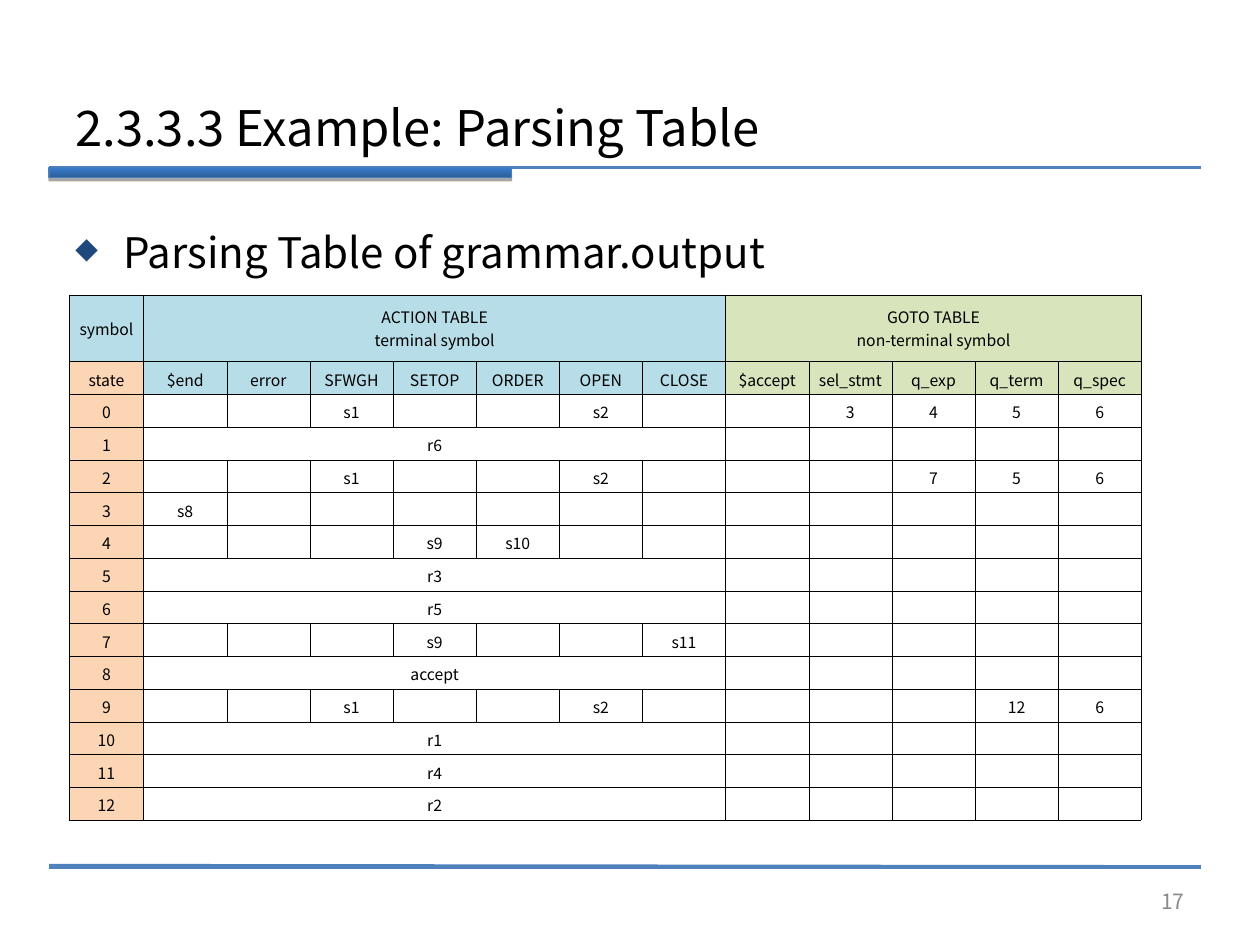
"""Build the slide showing the LR parsing table of grammar.output."""
import dataclasses
import typing

import lxml.etree
import pptx
import pptx.dml.color
import pptx.enum.shapes
import pptx.enum.text
import pptx.oxml.ns
import pptx.util

Inches = pptx.util.Inches
Pt = pptx.util.Pt
Align = pptx.enum.text.PP_ALIGN
Anchor = pptx.enum.text.MSO_ANCHOR

FONT = "Noto Sans CJK KR"
BLACK, GREY, RULE_BLUE = "000000", "898989", "4F81BD"
ACTION_FILL, GOTO_FILL, STATE_FILL = "B6DDE8", "D7E4BC", "FCD5B4"
TERMINALS = ["$end", "error", "SFWGH", "SETOP", "ORDER", "OPEN", "CLOSE"]
NON_TERMINALS = ["$accept", "sel_stmt", "q_exp", "q_term", "q_spec"]
SYMBOLS = TERMINALS + NON_TERMINALS
CELL_SIZE = 9


class Rule(typing.NamedTuple):
    left: float
    top: float
    right: float
    bottom: float


@dataclasses.dataclass
class Label:
    text: str
    box: tuple[float, float, float, float]
    size: float
    color: str = BLACK
    align: Align = Align.LEFT
    anchor: Anchor = Anchor.MIDDLE


@dataclasses.dataclass
class State:
    entries: dict[str, str] = dataclasses.field(default_factory=dict)
    default: str = ""


RULES = [
    Rule(0.39, 6.88, 9.53, 6.88),
    Rule(0.39, 1.33, 9.53, 1.33),
    Rule(0.39, 6.87, 9.53, 6.88),
]
TITLE = Label("2.3.3.3 Example: Parsing Table", (0.5, 0.7, 9, 0.62), 28)
BULLET = Label("Parsing Table of grammar.output", (0.5, 1.75, 9, 0.59), 24, anchor=Anchor.TOP)
PAGE_NUMBER = Label("17", (7.17, 6.95, 2.33, 0.4), 12, GREY, Align.RIGHT)
START = {"SFWGH": "s1", "OPEN": "s2"}
STATES = [
    State(START | {"sel_stmt": "3", "q_exp": "4", "q_term": "5", "q_spec": "6"}),
    State(default="r6"),
    State(START | {"q_exp": "7", "q_term": "5", "q_spec": "6"}),
    State({"$end": "s8"}),
    State({"SETOP": "s9", "ORDER": "s10"}),
    State(default="r3"),
    State(default="r5"),
    State({"SETOP": "s9", "CLOSE": "s11"}),
    State(default="accept"),
    State(START | {"q_term": "12", "q_spec": "6"}),
    State(default="r1"),
    State(default="r4"),
    State(default="r2"),
]


def rgb(color: str) -> pptx.dml.color.RGBColor:
    """Turn a hex string into a colour."""
    return pptx.dml.color.RGBColor.from_string(color)


def add_element(parent, tag: str, **attributes: str):
    """Append a DrawingML element to its parent."""
    return lxml.etree.SubElement(parent, pptx.oxml.ns.qn(f"a:{tag}"), attributes)


def format_runs(paragraph, size: float, color: str) -> None:
    """Give every run of a paragraph the slide font."""
    for run in paragraph.runs:
        run.font.name = FONT
        run.font.size = Pt(size)
        run.font.color.rgb = rgb(color)


def draw_rule(slide, rule: Rule) -> None:
    """Draw one thin blue rule across the slide."""
    connector = slide.shapes.add_connector(
        pptx.enum.shapes.MSO_CONNECTOR.STRAIGHT, *map(Inches, rule))
    connector.line.color.rgb = rgb(RULE_BLUE)
    connector.line.width = Pt(2)
    add_element(connector._element.spPr, "effectLst")


def draw_title_bar(slide) -> None:
    """Draw the shaded bar under the title."""
    bar = slide.shapes.add_shape(
        pptx.enum.shapes.MSO_SHAPE.RECTANGLE, *map(Inches, (0.39, 1.33, 3.67, 0.08)))
    bar.fill.gradient()
    bar.fill.gradient_angle = 90
    for stop, color in zip(bar.fill.gradient_stops, ("2C5D98", "3A7CCB")):
        stop.color.rgb = rgb(color)
    bar.line.color.rgb = rgb("4A7EBB")
    bar.line.width = Pt(0.75)
    bar.shadow.inherit = False
    effects = bar._element.spPr.find(pptx.oxml.ns.qn("a:effectLst"))
    shadow = add_element(effects, "outerShdw", blurRad="0", dist=str(Pt(1.8)),
                         dir="5400000", rotWithShape="0")
    add_element(add_element(shadow, "srgbClr", val=BLACK), "alpha", val="35000")


def draw_label(slide, label: Label):
    """Draw a text box and return its paragraph."""
    text_frame = slide.shapes.add_textbox(*map(Inches, label.box)).text_frame
    text_frame.word_wrap = True
    text_frame.vertical_anchor = label.anchor
    paragraph = text_frame.paragraphs[0]
    paragraph.text = label.text
    paragraph.alignment = label.align
    format_runs(paragraph, label.size, label.color)
    return paragraph


def add_diamond_bullet(paragraph) -> None:
    """Give a paragraph a hanging diamond bullet."""
    properties = paragraph._p.get_or_add_pPr()
    properties.set("marL", str(Inches(0.38)))
    properties.set("indent", str(Inches(-0.38)))
    add_element(add_element(properties, "buClr"), "srgbClr", val="1F497D")
    add_element(properties, "buSzPct", val="70000")
    add_element(properties, "buChar", char="◆")


def format_cell(cell) -> None:
    """Set the margins, borders and empty text of a cell."""
    cell.margin_left = cell.margin_right = Inches(0.01)
    cell.margin_top = cell.margin_bottom = Inches(0.05)
    cell.vertical_anchor = Anchor.MIDDLE
    for side in ("lnL", "lnR", "lnT", "lnB"):
        border = add_element(cell._tc.get_or_add_tcPr(), side, w=str(Pt(0.23)))
        add_element(add_element(border, "solidFill"), "srgbClr", val=BLACK)
    cell.fill.background()
    add_element(cell.text_frame.paragraphs[0]._p, "endParaRPr", sz=str(CELL_SIZE * 100))


def fill_cell(cell, text: str, fill: str = "") -> None:
    """Write centred text in a cell, with an optional fill."""
    paragraph = cell.text_frame.paragraphs[0]
    paragraph.text = text
    paragraph.alignment = Align.CENTER
    format_runs(paragraph, CELL_SIZE, BLACK)
    for line_break in paragraph._p.findall(pptx.oxml.ns.qn("a:br")):
        add_element(line_break, "rPr", sz=str(CELL_SIZE * 100))
    if fill:
        cell.fill.solid()
        cell.fill.fore_color.rgb = rgb(fill)


def draw_parsing_table(slide) -> None:
    """Draw the action and goto table, one row for each state."""
    table = slide.shapes.add_table(
        len(STATES) + 2, len(SYMBOLS) + 1, *map(Inches, (0.55, 2.34, 8.52, 4.15))).table
    table.first_row = table.horz_banding = False
    for index, column in enumerate(table.columns):
        column.width = Inches(0.66 if index else 0.59)
    for index, row in enumerate(table.rows):
        row.height = Inches(0.26 if index else 0.53)
    for cell in table.iter_cells():
        format_cell(cell)
    last_action = len(TERMINALS)
    table.cell(0, 1).merge(table.cell(0, last_action))
    table.cell(0, last_action + 1).merge(table.cell(0, len(SYMBOLS)))
    fill_cell(table.cell(0, 0), "symbol", ACTION_FILL)
    fill_cell(table.cell(0, 1), "ACTION TABLE\nterminal symbol", ACTION_FILL)
    fill_cell(table.cell(0, last_action + 1), "GOTO TABLE\nnon-terminal symbol", GOTO_FILL)
    fill_cell(table.cell(1, 0), "state", STATE_FILL)
    for column, symbol in enumerate(SYMBOLS, 1):
        fill_cell(table.cell(1, column), symbol, ACTION_FILL if column <= last_action else GOTO_FILL)
    for number, state in enumerate(STATES):
        row = number + 2
        fill_cell(table.cell(row, 0), str(number), STATE_FILL)
        if state.default:
            table.cell(row, 1).merge(table.cell(row, last_action))
            fill_cell(table.cell(row, 1), state.default)
        for symbol, entry in state.entries.items():
            fill_cell(table.cell(row, SYMBOLS.index(symbol) + 1), entry)


def main() -> None:
    """Build and save the presentation."""
    presentation = pptx.Presentation()
    presentation.slide_width, presentation.slide_height = Inches(10), Inches(7.5)
    slide = presentation.slides.add_slide(presentation.slide_layouts[6])
    for rule in RULES:
        draw_rule(slide, rule)
    draw_title_bar(slide)
    draw_label(slide, TITLE)
    add_diamond_bullet(draw_label(slide, BULLET))
    draw_parsing_table(slide)
    draw_label(slide, PAGE_NUMBER)
    presentation.save("out.pptx")


if __name__ == "__main__":
    main()
